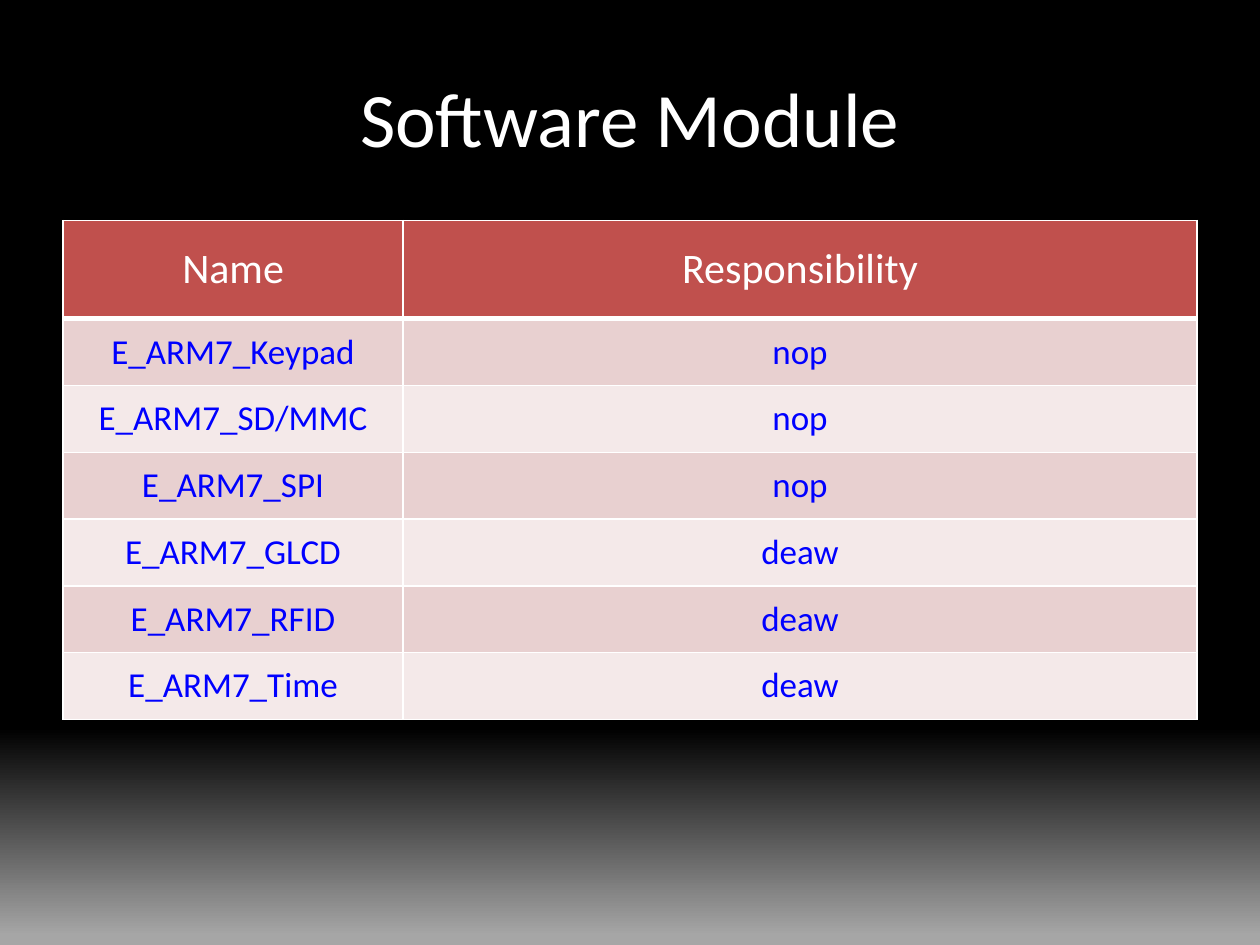
from lxml.etree import SubElement
from pptx import Presentation
from pptx.dml.color import RGBColor
from pptx.enum.text import MSO_ANCHOR as Anchor, PP_ALIGN as Align
from pptx.oxml.ns import qn
from pptx.util import Inches, Pt

BLACK = RGBColor(0x00, 0x00, 0x00)
GRAY = RGBColor(0xA6, 0xA6, 0xA6)
WHITE = RGBColor(0xFF, 0xFF, 0xFF)
BLUE = RGBColor(0x00, 0x00, 0xFF)
RED = RGBColor(0xC0, 0x50, 0x4D)
BANDS = (RGBColor(0xE8, 0xD0, 0xD0), RGBColor(0xF4, 0xE9, 0xE9))

HEADINGS = ("Name", "Responsibility")
MODULES = (
    ("E_ARM7_Keypad", "nop"),
    ("E_ARM7_SD/MMC", "nop"),
    ("E_ARM7_SPI", "nop"),
    ("E_ARM7_GLCD", "deaw"),
    ("E_ARM7_RFID", "deaw"),
    ("E_ARM7_Time", "deaw"),
)
NAME_SHARE = 0.3
HEADER_HEIGHT = 0.78


def write_text(frame, text, *, size, color):
    frame.word_wrap = True
    paragraph = frame.paragraphs[0]
    paragraph.alignment = Align.CENTER
    run = paragraph.add_run()
    run.text = text
    font = run.font
    font.name, font.size, font.bold = "Calibri", Pt(size), False
    font.color.rgb = color


def paint_background(slide):
    fill = slide.background.fill
    fill.gradient()
    fill.gradient_angle = 270
    for stop, position, color in zip(fill.gradient_stops, (0.77, 0.99), (BLACK, GRAY)):
        stop.position = position
        stop.color.rgb = color


def add_title(slide, left, top, width, height):
    title = slide.shapes.add_textbox(Inches(left), Inches(top), Inches(width), Inches(height))
    title.text_frame.vertical_anchor = Anchor.MIDDLE
    write_text(title.text_frame, "Software Module", size=44, color=WHITE)


def add_borders(cell, bottom):
    properties = cell._tc.get_or_add_tcPr()
    for side, weight in (("L", 1), ("R", 1), ("T", 1), ("B", bottom)):
        line = SubElement(properties, qn(f"a:ln{side}"), w=str(Pt(weight)))
        solid = SubElement(line, qn("a:solidFill"))
        SubElement(solid, qn("a:srgbClr"), val=str(WHITE))


def fill_cell(cell, text, *, fill, size, color, bottom=1):
    cell.vertical_anchor = Anchor.MIDDLE
    cell.margin_left = cell.margin_right = Inches(0.04)
    cell.margin_top = cell.margin_bottom = Inches(0.04)
    add_borders(cell, bottom)
    cell.fill.solid()
    cell.fill.fore_color.rgb = fill
    write_text(cell.text_frame, text, size=size, color=color)


def add_module_table(slide, left, top, width, height):
    table = slide.shapes.add_table(
        len(MODULES) + 1, len(HEADINGS),
        Inches(left), Inches(top), Inches(width), Inches(height),
    ).table
    for column, share in zip(table.columns, (NAME_SHARE, 1 - NAME_SHARE)):
        column.width = Inches(width * share)
    for row in table.rows:
        row.height = Inches((height - HEADER_HEIGHT) / len(MODULES))
    table.rows[0].height = Inches(HEADER_HEIGHT)

    for column, heading in enumerate(HEADINGS):
        fill_cell(table.cell(0, column), heading, fill=RED, size=24, color=WHITE, bottom=3)
    for row, module in enumerate(MODULES):
        for column, text in enumerate(module):
            fill_cell(table.cell(row + 1, column), text,
                      fill=BANDS[row % 2], size=20, color=BLUE)


def main():
    deck = Presentation()
    deck.slide_width, deck.slide_height = Inches(10), Inches(7.5)
    slide = deck.slides.add_slide(deck.slide_layouts[6])
    paint_background(slide)
    add_title(slide, 0.5, 0.3, 9, 1.25)
    add_module_table(slide, 0.5, 1.75, 9, 3.96)
    deck.save("out.pptx")


if __name__ == "__main__":
    main()
